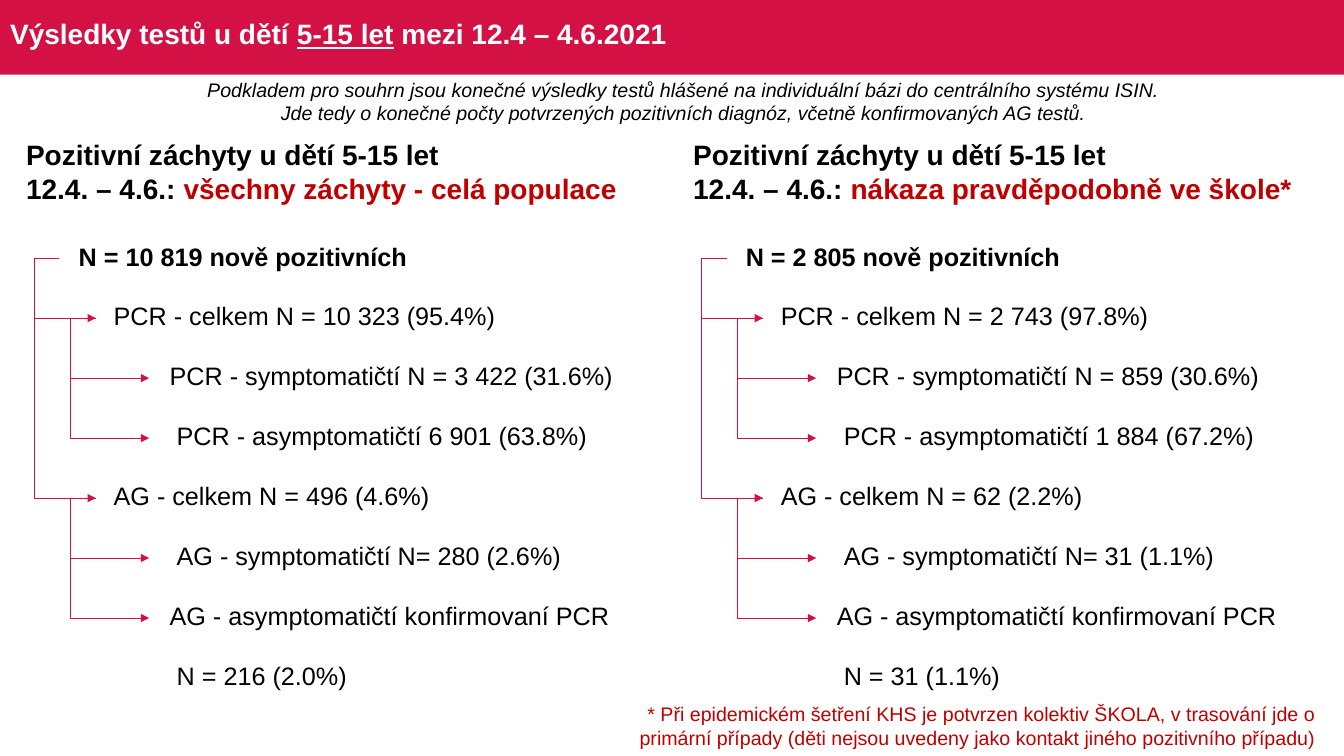
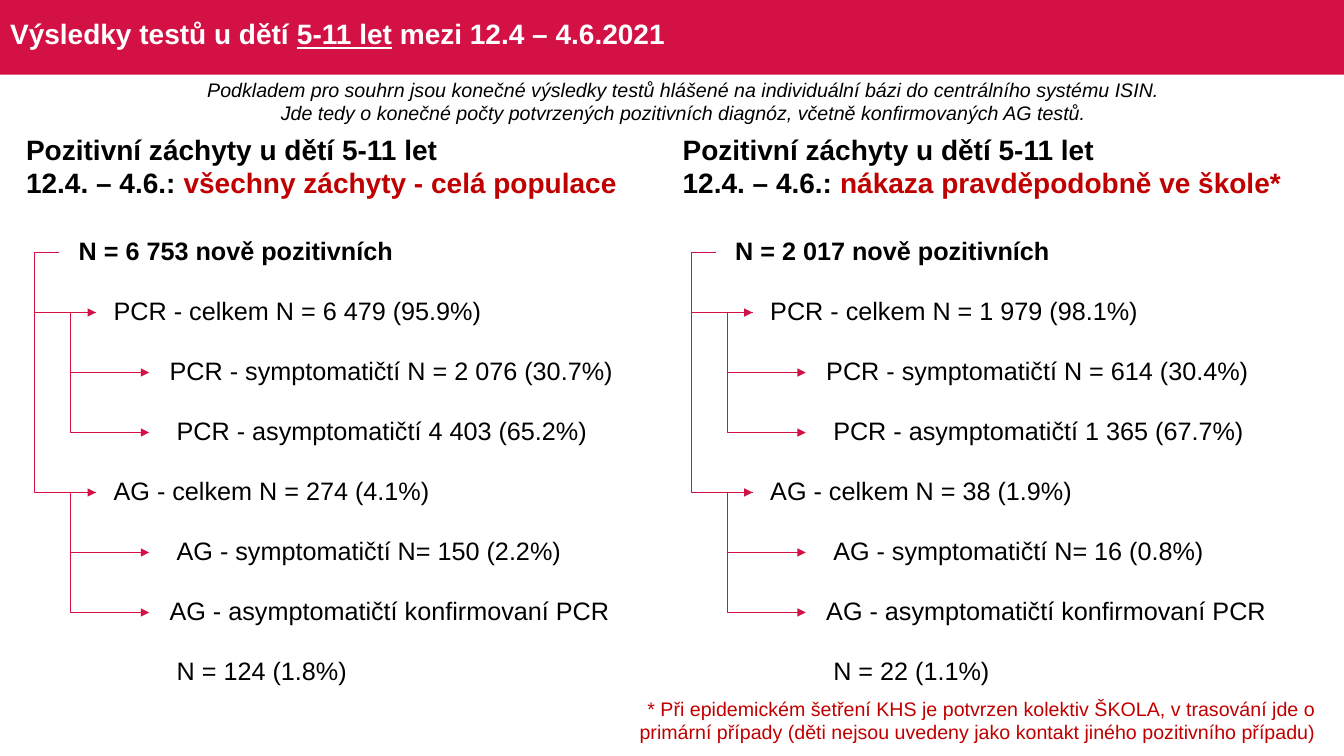
from lxml.etree import SubElement
from pptx import Presentation
from pptx.dml.color import RGBColor
from pptx.enum.shapes import MSO_CONNECTOR, MSO_SHAPE
from pptx.enum.text import MSO_ANCHOR, PP_ALIGN
from pptx.oxml.ns import qn
from pptx.util import Pt

RED, DARK, BLACK, WHITE = "D31145", "C00000", "000000", "FFFFFF"
WIDE, HIGH = 960, 540
ROW = 42.84
BEND = 18

TITLE = {"name": "Arial", "size": Pt(20), "bold": True}
HEAD = {"name": "Arial", "size": Pt(20), "bold": True}
BODY = {"name": "Arial", "size": Pt(18), "bold": False}
NOTE = {"name": "Arial", "size": Pt(14)}

INTRO = (
    "Podkladem pro souhrn jsou konečné výsledky testů hlášené na individuální bázi do centrálního systému ISIN.",
    "Jde tedy o konečné počty potvrzených pozitivních diagnóz, včetně konfirmovaných AG testů.",
)
FOOT = (
    "* Při epidemickém šetření KHS je potvrzen kolektiv ŠKOLA, v trasování jde o "
    "primární případy (děti nejsou uvedeny jako kontakt jiného pozitivního případu)"
)
SCOPES = ("všechny záchyty - celá populace", "nákaza pravděpodobně ve škole*")
ROWS = (
    (0, "N = {0} nově pozitivních"),
    (25, "PCR - celkem N = {1}"),
    (65, "PCR - symptomatičtí N = {2}"),
    (70, "PCR - asymptomatičtí {3}"),
    (25, "AG - celkem N = {4}"),
    (70, "AG - symptomatičtí N= {5}"),
    (65, "AG - asymptomatičtí konfirmovaní PCR"),
    (70, "N = {6}"),
)
LINKS = ((0, 4), (1, 2), (1, 3), (4, 5), (4, 6), (0, 1))
SLIDES = (
    {
        "age": "5-15 let", "top": 95, "lefts": (11.5, 488),
        "counts": (
            ("10 819", "10 323 (95.4%)", "3 422 (31.6%)", "6 901 (63.8%)",
             "496 (4.6%)", "280 (2.6%)", "216 (2.0%)"),
            ("2 805", "2 743 (97.8%)", "859 (30.6%)", "1 884 (67.2%)",
             "62 (2.2%)", "31 (1.1%)", "31 (1.1%)"),
        ),
    },
    {
        "age": "5-11 let", "top": 91, "lefts": (11.5, 480.5),
        "counts": (
            ("6 753", "6 479 (95.9%)", "2 076 (30.7%)", "4 403 (65.2%)",
             "274 (4.1%)", "150 (2.2%)", "124 (1.8%)"),
            ("2 017", "1 979 (98.1%)", "614 (30.4%)", "1 365 (67.7%)",
             "38 (1.9%)", "16 (0.8%)", "22 (1.1%)"),
        ),
    },
)


def tint(code):
    """Turn a hex string into a colour."""
    return RGBColor.from_string(code)


def write(para, text, look, code=BLACK, **more):
    """Add a run with the given format values."""
    run = para.add_run()
    run.text = text
    for key, val in {**look, **more}.items():
        setattr(run.font, key, val)
    run.font.color.rgb = tint(code)


def add_box(slide, left, top, width, height, lines, look, align=PP_ALIGN.LEFT):
    """Add a text box whose lines are lists of text and colour pairs."""
    frame = slide.shapes.add_textbox(Pt(left), Pt(top), Pt(width), Pt(height)).text_frame
    frame.word_wrap = True
    for num, line in enumerate(lines):
        para = frame.add_paragraph() if num else frame.paragraphs[0]
        para.alignment = align
        for text, code in line:
            write(para, text, look, code)


def add_band(slide):
    """Place the red band on the layout that the slides share."""
    band = slide.shapes.add_shape(MSO_SHAPE.RECTANGLE, 0, 0, Pt(WIDE), Pt(53.3))
    band.shadow.inherit = False
    band.fill.solid()
    band.fill.fore_color.rgb = tint(RED)
    band.line.fill.background()
    slide.slide_layout.shapes.element.insert(2, band.element)


def add_title(slide, age):
    """Fill the title placeholder, with the age group underlined."""
    title = slide.shapes.title
    spot = {"left": 0, "top": 3, "width": 947, "height": 45}
    for key, val in spot.items():
        setattr(title, key, Pt(val))
    title.text_frame.vertical_anchor = MSO_ANCHOR.MIDDLE
    para = title.text_frame.paragraphs[0]
    para.alignment = PP_ALIGN.LEFT
    para.line_spacing = 0.9
    write(para, "Výsledky testů u dětí ", TITLE, WHITE)
    write(para, age, TITLE, WHITE, underline=True)
    write(para, " mezi 12.4 – 4.6.2021", TITLE, WHITE)


def add_rows(slide, left, top, counts):
    """Add the table of counts, indented by level."""
    table = slide.shapes.add_table(
        len(ROWS), 1, Pt(left), Pt(top), Pt(428), Pt(ROW * len(ROWS))).table
    table.first_row = table.horz_banding = False
    for num, (indent, text) in enumerate(ROWS):
        table.rows[num].height = Pt(ROW)
        cell = table.cell(num, 0)
        cell.fill.background()
        cell.vertical_anchor = MSO_ANCHOR.MIDDLE
        cell.margin_left = Pt(0.7 + indent)
        cell.margin_right = cell.margin_top = Pt(0.7)
        cell.margin_bottom = 0
        write(cell.text_frame.paragraphs[0], text.format(*counts), BODY, bold=num == 0)


def add_link(slide, start, end):
    """Add an elbow arrow that bends out to the left of its start."""
    link = slide.shapes.add_connector(MSO_CONNECTOR.ELBOW, *map(Pt, start + end))
    link.line.width = Pt(0.5)
    link.line.color.rgb = tint(RED)
    props = link.element.spPr
    bend = round(-BEND / (end[0] - start[0]) * 100000)
    guides = props.find(qn("a:prstGeom")).get_or_add_avLst()
    SubElement(guides, qn("a:gd"), name="adj1", fmla=f"val {bend}")
    SubElement(props.find(qn("a:ln")), qn("a:tailEnd"), type="triangle")
    SubElement(props, qn("a:effectLst"))


def add_tree(slide, left, top, age, scope, counts):
    """Add one column: heading, table and arrows."""
    add_rows(slide, left + 44, top + 67, counts)
    lines = (
        [(f"Pozitivní záchyty u dětí {age}", BLACK)],
        [("12.4. – 4.6.: ", BLACK), (scope, DARK)],
    )
    add_box(slide, left, top, 445, 55.5, lines, HEAD)
    for src, dst in LINKS:
        x1, x2 = (57, 95) if src else (31, 57)
        y1, y2 = (top + 68 + ROW * (num + 0.5) for num in (src, dst))
        add_link(slide, (left + x1, y1), (left + x2, y2))


def main():
    """Build and save the slides."""
    deck = Presentation()
    deck.slide_width, deck.slide_height = Pt(WIDE), Pt(HIGH)
    for num, data in enumerate(SLIDES):
        slide = deck.slides.add_slide(deck.slide_layouts[5])
        if not num:
            add_band(slide)
        age, top = data["age"], data["top"]
        add_title(slide, age)
        for left, scope, counts in zip(data["lefts"], SCOPES, data["counts"]):
            add_tree(slide, left, top, age, scope, counts)
        add_box(slide, 446.5, top + 403, 500.5, 41, [[(FOOT, DARK)]], NOTE, PP_ALIGN.RIGHT)
        add_box(slide, 129, 52, 718.5, 41, [[(line, BLACK)] for line in INTRO],
                {**NOTE, "italic": True}, PP_ALIGN.CENTER)
    deck.save("out.pptx")


if __name__ == "__main__":
    main()
